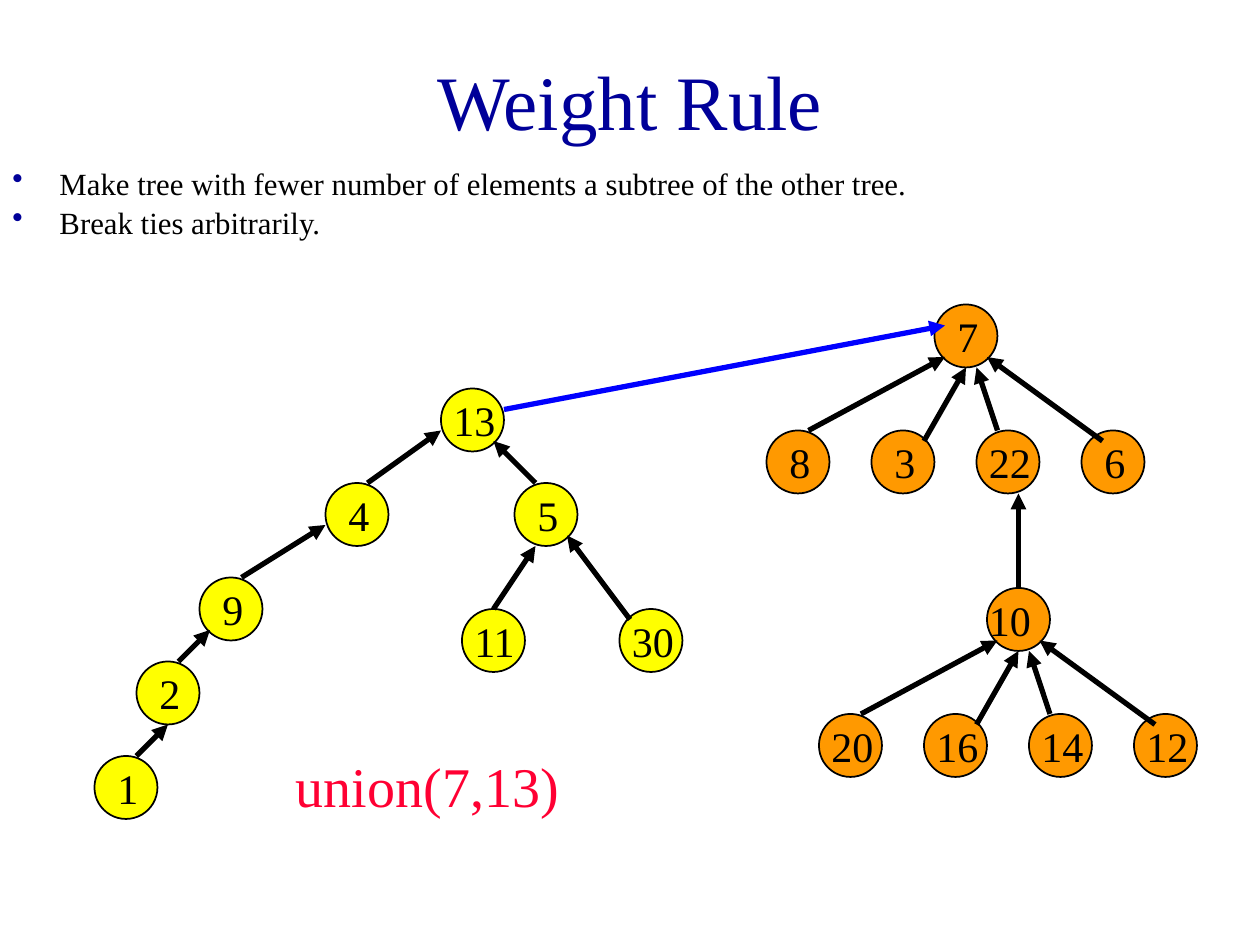
from lxml import etree
from pptx import Presentation
from pptx.dml.color import RGBColor
from pptx.enum.shapes import MSO_CONNECTOR, MSO_SHAPE
from pptx.enum.text import MSO_ANCHOR, PP_ALIGN
from pptx.oxml.ns import qn
from pptx.util import Cm, Pt

OVAL = MSO_SHAPE.OVAL
STRAIGHT = MSO_CONNECTOR.STRAIGHT
MIDDLE, TOP = MSO_ANCHOR.MIDDLE, MSO_ANCHOR.TOP
CENTER, LEFT = PP_ALIGN.CENTER, PP_ALIGN.LEFT

FONT = "Times New Roman"
NAVY, BLACK, BLUE, RED = "000099", "000000", "0000FF", "FF0033"
YELLOW, ORANGE = "FFFF00", "FF9900"

TITLE = "Weight Rule"
RULES = [
    "Make tree with fewer number of elements a subtree of the other tree.",
    "Break ties arbitrarily.",
]
CALL = "union(7,13)"

# The trees lie on a grid of 12 steps to the inch; a node is 6 steps wide.
STEP = 2.54 / 12
NODE = 6

# Key: (left, top) in grid steps
LEFT_TREE = {
    "13": (42, 37), "4": (31, 46), "5": (49, 46), "9": (19, 55),
    "11": (44, 58), "30": (59, 58), "2": (13, 63), "1": (9, 72),
}
RIGHT_TREE = {"7": (89, 29), "10": (94, 56)}
FAMILIES = {"7": ["8", "3", "22", "6"], "10": ["20", "16", "14", "12"]}
SIBLING_GAP = 10
FIRST_CHILD = (-16, 12)  # from the parent

# Child, start within child, parent, end within parent
EDGES = [
    ("4", (4, 0), "13", (0, 4)),
    ("9", (4, 0), "4", (0, 4)),
    ("5", (2, 0), "13", (5, 5)),
    ("2", (4, 0), "9", (1, 5)),
    ("11", (3, 0), "5", (2, 6)),
    ("30", (1, 1), "5", (5, 5)),
    ("1", (4, 0), "2", (3, 6)),
    ("10", (3, 0), "22", (4, 6)),
]
# Start and end for each of four siblings
FAN = [((4, 0), (1, 5)), ((5, 1), (3, 6)), ((2, 0), (4, 6)), ((2, 1), (5, 5))]
UNION_EDGE = ("13", (6, 2), "7", (1, 2))

for parent, children in FAMILIES.items():
    x, y = RIGHT_TREE[parent]
    for i, (child, (start, end)) in enumerate(zip(children, FAN)):
        RIGHT_TREE[child] = (x + FIRST_CHILD[0] + i * SIBLING_GAP, y + FIRST_CHILD[1])
        EDGES.append((child, start, parent, end))
NODES = LEFT_TREE | RIGHT_TREE


def rgb(code):
    return RGBColor.from_string(code)


def grid(*steps):
    return [Cm(step * STEP) for step in steps]


def add_text(slide, box, lines, size, color, before=0, align=LEFT, anchor=TOP):
    frame = slide.shapes.add_textbox(*box).text_frame
    frame.word_wrap = True
    frame.vertical_anchor = anchor
    frame.text = "\n".join(lines)
    for paragraph in frame.paragraphs:
        paragraph.alignment = align
        paragraph.space_before = Pt(before)
        paragraph.font.name = FONT
        paragraph.font.size = Pt(size)
        paragraph.font.color.rgb = rgb(color)
    return frame


def add_bullets(frame):
    for paragraph in frame.paragraphs:
        paragraph.line_spacing = 0.7
        properties = paragraph._p.get_or_add_pPr()
        properties.set("marL", str(Cm(0.95)))
        properties.set("indent", str(-Cm(0.95)))
        bullet_color = etree.SubElement(properties, qn("a:buClr"))
        etree.SubElement(bullet_color, qn("a:srgbClr"), val=NAVY)
        etree.SubElement(properties, qn("a:buChar"), char="•")


def add_node(slide, key, fill):
    x, y = NODES[key]
    circle = slide.shapes.add_shape(OVAL, *grid(x, y, NODE, NODE))
    circle.shadow.inherit = False
    circle.fill.solid()
    circle.fill.fore_color.rgb = rgb(fill)
    circle.line.color.rgb = rgb(BLACK)
    circle.line.width = Pt(1)
    shift = -1 if key == "10" else 2 - len(key)
    width = 4 if len(key) == 1 else 7
    add_text(slide, grid(x + shift, y, width, NODE), [key], 24, BLACK, before=15)


def add_edge(slide, child, start, parent, end, color=BLACK):
    points = [
        origin + offset
        for key, offsets in ((child, start), (parent, end))
        for origin, offset in zip(NODES[key], offsets)
    ]
    arrow = slide.shapes.add_connector(STRAIGHT, *grid(*points))
    arrow.line.color.rgb = rgb(color)
    arrow.line.width = Pt(3)
    etree.SubElement(arrow.line._get_or_add_ln(), qn("a:tailEnd"), type="triangle")
    etree.SubElement(arrow._element.spPr, qn("a:effectLst"))


def main():
    deck = Presentation()
    deck.slide_width, deck.slide_height = Cm(25.4), Cm(19.05)
    slide = deck.slides.add_slide(deck.slide_layouts[6])

    add_text(slide, (Cm(1.9), Cm(0.42), Cm(21.6), Cm(3.18)), [TITLE], 44, NAVY,
             align=CENTER, anchor=MIDDLE)
    rules = add_text(slide, (Cm(0), Cm(3.39), Cm(24.77), Cm(1.69)), RULES, 17.6,
                     BLACK, before=8)
    add_bullets(rules)

    for tree, fill in ((LEFT_TREE, YELLOW), (RIGHT_TREE, ORANGE)):
        for key in tree:
            add_node(slide, key, fill)
    for edge in EDGES:
        add_edge(slide, *edge)

    add_text(slide, grid(27, 71, 31, 7.7), [CALL], 32, RED, before=20)
    add_edge(slide, *UNION_EDGE, color=BLUE)
    deck.save("out.pptx")


if __name__ == "__main__":
    main()
